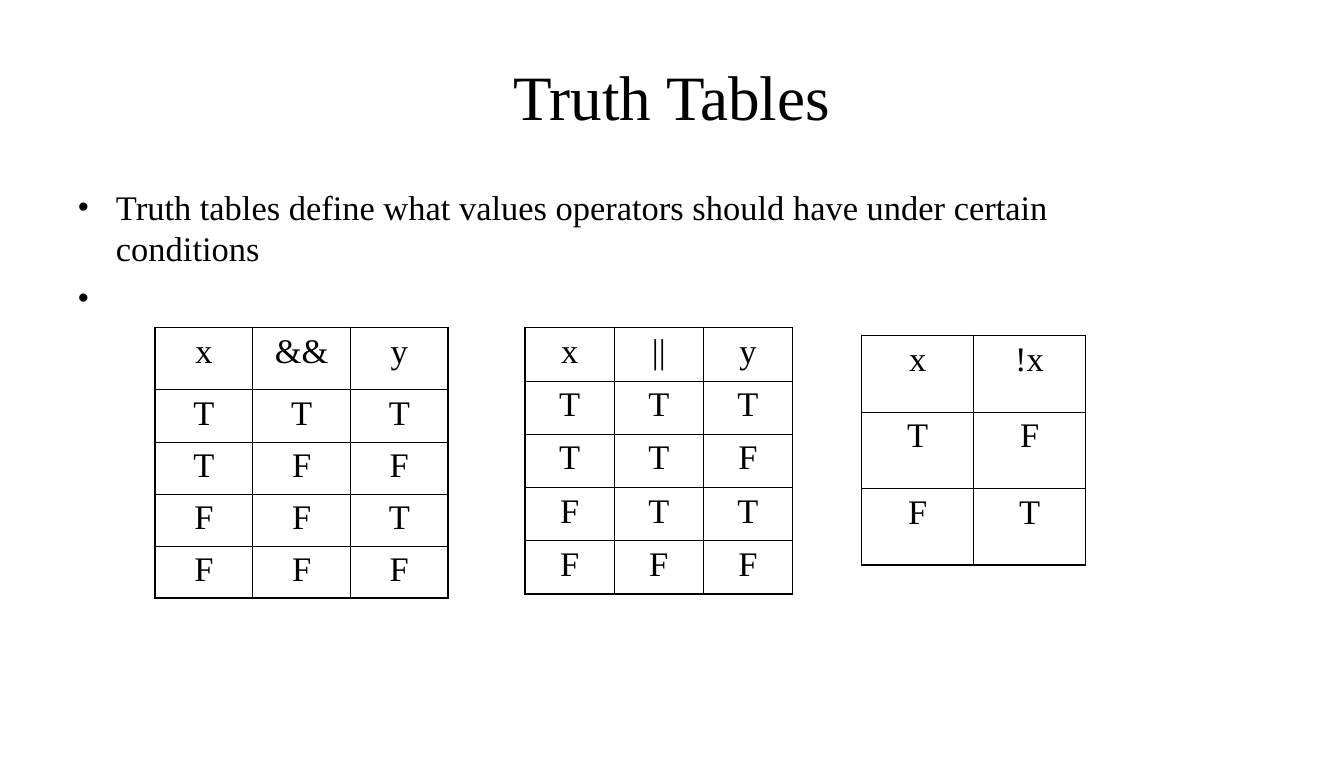
from lxml.etree import SubElement
from pptx import Presentation
from pptx.dml.color import RGBColor
from pptx.enum.text import MSO_ANCHOR, PP_ALIGN
from pptx.oxml.ns import qn
from pptx.util import Cm, Pt

FONT = "Times New Roman"
BLACK = "000000"
OUTER_LINE, INNER_LINE = 1.08, 0.45

TITLE = "Truth Tables"
BULLETS = [
    "Truth tables define what values operators should have under certain conditions",
    " ",
]
TRUTH_TABLES = [
    {
        "left": 3.81, "top": 8.05, "column": 2.4, "header": 1.53, "row": 1.28,
        "rows": [("x", "&&", "y"), "TTT", "TFF", "FFT", "FFF"],
    },
    {
        "left": 12.9, "top": 8.05, "column": 2.19, "header": 1.31, "row": 1.31,
        "rows": [("x", "||", "y"), "TTT", "TTF", "FTT", "FFF"],
    },
    {
        "left": 21.17, "top": 8.25, "column": 2.75, "header": 1.88, "row": 1.88,
        "rows": [("x", "!x"), "TF", "FT"],
    },
]


def color(value):
    return RGBColor.from_string(value)


def add_run(paragraph, text, size):
    run = paragraph.add_run()
    run.text = text
    run.font.name = FONT
    run.font.size = Pt(size)
    run.font.color.rgb = color(BLACK)


def add_text_frame(slide, left, top, width, height, anchor):
    text_box = slide.shapes.add_textbox(Cm(left), Cm(top), Cm(width), Cm(height))
    text_frame = text_box.text_frame
    text_frame.word_wrap = True
    text_frame.vertical_anchor = anchor
    return text_frame


def add_title(slide):
    text_frame = add_text_frame(slide, 1.65, 0.76, 29.72, 3.18, MSO_ANCHOR.MIDDLE)
    paragraph = text_frame.paragraphs[0]
    paragraph.alignment = PP_ALIGN.CENTER
    add_run(paragraph, TITLE, 44)


def add_bullets(slide):
    text_frame = add_text_frame(slide, 1.65, 4.45, 27.13, 12.57, MSO_ANCHOR.TOP)
    for index, text in enumerate(BULLETS):
        paragraph = text_frame.add_paragraph() if index else text_frame.paragraphs[0]
        paragraph.space_before = Pt(6)
        add_run(paragraph, text, 24)
        properties = paragraph._p.get_or_add_pPr()
        properties.set("marL", str(Cm(0.95)))
        properties.set("indent", str(Cm(-0.95)))
        bullet_color = SubElement(properties, qn("a:buClr"))
        SubElement(bullet_color, qn("a:srgbClr"), val=BLACK)
        SubElement(properties, qn("a:buFont"), typeface=FONT)
        SubElement(properties, qn("a:buChar"), char="•")


def set_borders(cell, outer_sides):
    properties = cell._tc.get_or_add_tcPr()
    for side, is_outer in outer_sides.items():
        width = Pt(OUTER_LINE if is_outer else INNER_LINE)
        line = SubElement(properties, qn(f"a:ln{side}"), w=str(width))
        fill = SubElement(line, qn("a:solidFill"))
        SubElement(fill, qn("a:srgbClr"), val=BLACK)


def add_truth_table(slide, data):
    rows = data["rows"]
    last_row, last_column = len(rows) - 1, len(rows[0]) - 1
    heights = [data["header"]] + [data["row"]] * last_row
    table = slide.shapes.add_table(
        len(rows), len(rows[0]), Cm(data["left"]), Cm(data["top"]),
        Cm(data["column"] * len(rows[0])), Cm(sum(heights)),
    ).table
    table.first_row = False
    table.horz_banding = False
    for column in table.columns:
        column.width = Cm(data["column"])
    for row_index, values in enumerate(rows):
        table.rows[row_index].height = Cm(heights[row_index])
        for column_index, value in enumerate(values):
            cell = table.cell(row_index, column_index)
            set_borders(cell, {
                "L": column_index == 0,
                "R": column_index == last_column,
                "T": row_index == 0,
                "B": row_index == last_row,
            })
            cell.fill.background()
            paragraph = cell.text_frame.paragraphs[0]
            paragraph.alignment = PP_ALIGN.CENTER
            paragraph.space_before = Pt(6)
            add_run(paragraph, value, 24)


def main():
    presentation = Presentation()
    presentation.slide_width = Cm(33.02)
    presentation.slide_height = Cm(19.05)
    slide = presentation.slides.add_slide(presentation.slide_layouts[6])
    add_title(slide)
    add_bullets(slide)
    for data in TRUTH_TABLES:
        add_truth_table(slide, data)
    presentation.save("out.pptx")


if __name__ == "__main__":
    main()
